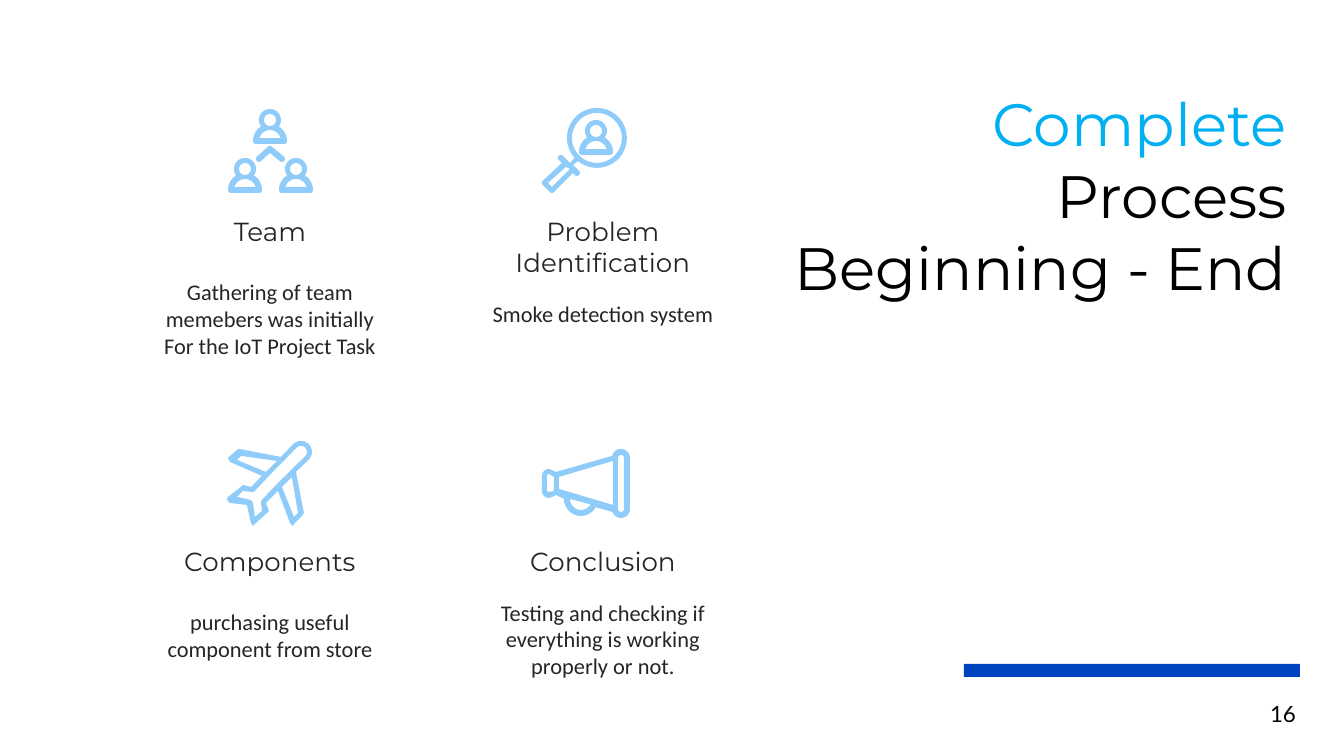
from dataclasses import dataclass
from math import cos, radians, sin

from pptx import Presentation
from pptx.dml.color import RGBColor
from pptx.enum.shapes import MSO_SHAPE
from pptx.enum.text import MSO_ANCHOR, MSO_AUTO_SIZE, PP_ALIGN
from pptx.util import Pt

PX = 914400 / 134.4  # EMU in one px


@dataclass(frozen=True)
class Theme:
    black: str = "000000"
    ink: str = "252525"
    accent: str = "00B0F0"
    bar: str = "0043C1"
    icon: str = "90CCFA"
    heading: str = "Montserrat"
    body: str = "Calibri"
    number: str = "Lato"
    title_size: int = 32
    card_size: int = 14
    body_size: int = 12


theme = Theme()


def write(sp, text, *, font, size, color, align=PP_ALIGN.LEFT, anchor=MSO_ANCHOR.TOP,
          before=0, new=True):
    """Add a run to a shape, in a new paragraph unless new is False."""
    tf = sp.text_frame
    tf.word_wrap = True
    tf.auto_size = MSO_AUTO_SIZE.NONE
    tf.vertical_anchor = anchor
    tf.margin_left = tf.margin_right = tf.margin_top = tf.margin_bottom = round(13 * PX)
    p = tf.add_paragraph() if new and tf.text else tf.paragraphs[-1]
    p.alignment = align
    if before:
        p.space_before = Pt(before)
    r = p.add_run()
    r.text = text
    r.font.name = font
    r.font.size = Pt(size)
    r.font.color.rgb = RGBColor.from_string(color)


def draw_icon(s, contours, dx=0, dy=0):
    """Fill contours made of points (x, y) and arcs (x, y, radius, from, to)."""
    builder = None
    for contour in contours:
        points = []
        for x, y, *arc in contour:
            if arc:
                radius, start, end = arc
                steps = max(4, abs(end - start) // 10)
                angles = [radians(start + (end - start) * i / steps) for i in range(steps + 1)]
                points += [(x + radius * cos(a), y + radius * sin(a)) for a in angles]
            else:
                points.append((x, y))
        points = [(round((x + dx) * PX), round((y + dy) * PX)) for x, y in points]
        if builder is None:
            builder = s.shapes.build_freeform(*points[0], scale=1.0)
        else:
            builder.move_to(*points[0])
        builder.add_line_segments(points[1:], close=True)
    sp = builder.convert_to_shape()
    sp.shadow.inherit = False
    sp.fill.solid()
    sp.fill.fore_color.rgb = RGBColor.from_string(theme.icon)
    sp.line.fill.background()


prs = Presentation()
prs.slide_width, prs.slide_height = round(1344 * PX), round(756 * PX)
s = prs.slides.add_slide(prs.slide_layouts[5])

# Accent bar and page number
bar = s.shapes.add_shape(MSO_SHAPE.RECTANGLE, *[round(v * PX) for v in (964, 664, 336, 13)])
bar.shadow.inherit = False
bar.fill.solid()
bar.fill.fore_color.rgb = RGBColor.from_string(theme.bar)
bar.line.fill.background()

number = s.shapes.add_textbox(*[round(v * PX) for v in (1257, 685, 81, 58)])
write(number, "16", font=theme.number, size=theme.body_size, color=theme.black,
      anchor=MSO_ANCHOR.MIDDLE)

# Cards: left, top, width, height, gap under the heading, heading, body paragraphs
cards = [
    (141, 202, 258, 176, 17, "Team",
     ["Gathering of team memebers was initially", "For the IoT Project Task"]),
    (457, 202, 292, 176, 12, "Problem Identification", ["Smoke detection system"]),
    (141, 532, 258, 160, 17, "Components", ["purchasing useful component from store"]),
    (457, 532, 292, 160, 12, "Conclusion",
     ["Testing and checking if everything is working properly or not."]),
]
for *box, gap, heading, lines in cards:
    card = s.shapes.add_textbox(*[round(v * PX) for v in box])
    write(card, heading, font=theme.heading, size=theme.card_size, color=theme.ink,
          align=PP_ALIGN.CENTER)
    for i, line in enumerate(lines):
        write(card, line, font=theme.body, size=theme.body_size, color=theme.ink,
              align=PP_ALIGN.CENTER, before=0 if i else gap)

# Title
title = s.shapes.title
title.left, title.top, title.width, title.height = [round(v * PX) for v in (749, 74, 551, 239)]
for text, color in [("Complete ", theme.accent), ("Process Beginning - End", theme.black)]:
    write(title, text, font=theme.heading, size=theme.title_size, color=color,
          align=PP_ALIGN.RIGHT, new=False)

# Icons: the outer contour first, then the holes
person = [
    [(17, 33, 17, 180, 240), (17, 12, 11, 140, 400), (17, 33, 17, 300, 360),
     (31, 33, 3, 0, 90), (3, 33, 3, 90, 180)],
    [(17, 12, 6, 0, 360)],
    [(17, 33, 11, 195, 345)],
]
chevron = [[(270, 149, 3, 225, 315), (282, 159, 3, -45, 135), (270, 153),
            (259, 159, 3, 45, 225)]]
magnifier = [
    [(597, 138, 30, 138, 489), (573, 165), (577, 173, 3, -45, 135), (573, 173),
     (552, 190, 3, 45, 135), (545, 183, 3, 135, 225), (562, 163),
     (561, 158, 3, 135, 315), (570, 163)],
    [(597, 138, 25, 0, 360)],
    [(566, 167), (570, 169), (552, 187), (548, 183)],
]
plane = [
    [(301, 452, 11, -135, 45), (296, 472), (304, 513), (302, 516), (294, 524), (293, 526),
     (290, 523), (278, 491), (266, 503), (269, 511), (267, 513), (255, 524), (253, 526),
     (251, 523), (247, 505), (230, 503), (227, 500), (228, 497), (241, 487), (243, 485),
     (251, 487), (262, 476), (230, 462), (228, 458), (237, 450), (239, 449), (281, 457)],
    [(301, 452, 6, -135, 45), (277, 484), (262, 500), (261, 502), (262, 511), (255, 517),
     (253, 503), (251, 500), (237, 497), (243, 491), (251, 492), (254, 492), (269, 476)],
    [(241, 456), (277, 461), (266, 472), (237, 460)],
    [(292, 477), (298, 513), (294, 517), (282, 487)],
]
megaphone = [
    [(621, 458, 9, 180, 360), (621, 509, 9, 0, 160), (595, 507), (581, 499, 17, 25, 180),
     (556, 495), (552, 497), (549, 491, 7, 90, 180), (549, 476, 7, 180, 270), (556, 472),
     (612, 456)],
    [(549, 474), (554, 477), (554, 491), (549, 492), (547, 491), (547, 475)],
    [(613, 461), (613, 505), (559, 489), (559, 477)],
    [(581, 499, 11, 30, 180)],
    [(621, 458, 3, 180, 360), (621, 509, 3, 0, 180)],
]
for icon in (plane, magnifier, chevron, megaphone):
    draw_icon(s, icon)
for x, y in [(579, 119), (253, 108), (228, 157), (279, 157)]:
    draw_icon(s, person, x, y)

prs.save("out.pptx")
